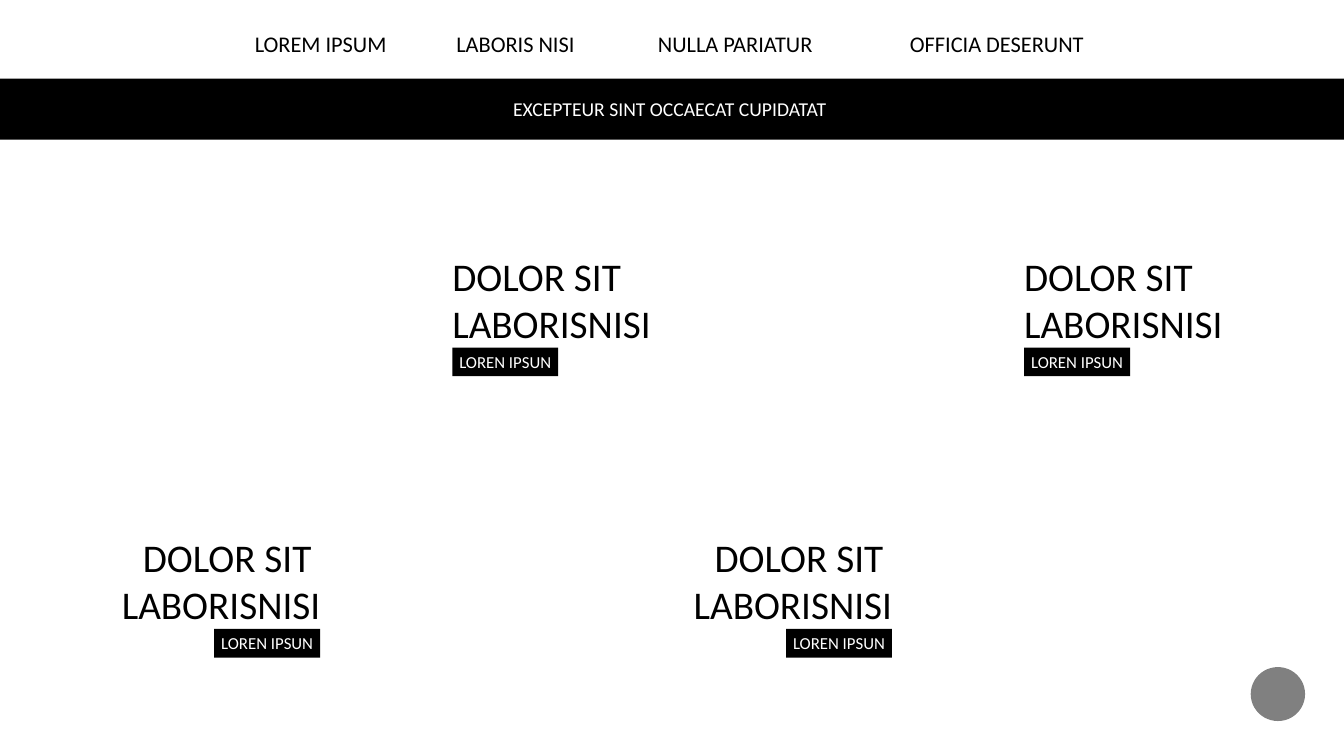
from dataclasses import dataclass

from pptx import Presentation, util as u
from pptx.dml.color import RGBColor
from pptx.enum import shapes, text


@dataclass(frozen=True)
class Theme:
    font: str = "Calibri"
    black: RGBColor = RGBColor(0, 0, 0)
    white: RGBColor = RGBColor(255, 255, 255)
    gray: RGBColor = RGBColor(128, 128, 128)
    name_size: int = 28
    menu_size: int = 16
    title_size: int = 14
    tag_size: int = 12


class SlideBuilder:
    def __init__(self, presentation, theme):
        self.theme = theme
        self.slide = presentation.slides.add_slide(presentation.slide_layouts[5])

    def set_text(self, shape, content, size, color, align, margins):
        """Fill a shape with text; margins are left, top, right, bottom in cm."""
        frame = shape.text_frame
        frame.text = content
        frame.vertical_anchor = text.MSO_ANCHOR.MIDDLE
        frame.margin_left, frame.margin_top, frame.margin_right, frame.margin_bottom = map(u.Cm, margins)
        for paragraph in frame.paragraphs:
            paragraph.alignment = align
            for run in paragraph.runs:
                run.font.name = self.theme.font
                run.font.size = u.Pt(size)
                run.font.color.rgb = color

    def title_band(self, content, left, top, width, height):
        title = self.slide.shapes.title
        title.left, title.top, title.width, title.height = map(u.Cm, (left, top, width, height))
        title.fill.solid()
        title.fill.fore_color.rgb = self.theme.black
        self.set_text(title, content, self.theme.title_size, self.theme.white,
                      text.PP_ALIGN.CENTER, (0.2, 0.2, 0.2, 0.2))
        title.text_frame.auto_size = text.MSO_AUTO_SIZE.NONE

    def text_box(self, content, left, top, width, height, size, align, margins, wrap=True):
        box = self.slide.shapes.add_textbox(*map(u.Cm, (left, top, width, height)))
        self.set_text(box, content, size, self.theme.black, align, margins)
        box.text_frame.word_wrap = wrap
        box.text_frame.auto_size = text.MSO_AUTO_SIZE.SHAPE_TO_FIT_TEXT

    def solid(self, kind, left, top, width, height, color):
        shape = self.slide.shapes.add_shape(kind, *map(u.Cm, (left, top, width, height)))
        shape.shadow.inherit = False
        shape.fill.solid()
        shape.fill.fore_color.rgb = color
        shape.line.fill.background()
        return shape

    def credit(self, content, left, top, width, align, right_margin):
        """Place a two-line name with a tag under its aligned edge."""
        tag_width = 2.67
        self.text_box(content, left, top, width, 2.39, self.theme.name_size, align,
                      (0, 0, right_margin, 0))
        tag_left = left if align == text.PP_ALIGN.LEFT else left + width - tag_width
        tag = self.solid(shapes.MSO_SHAPE.RECTANGLE, tag_left, top + 2.41, tag_width, 0.72,
                         self.theme.black)
        self.set_text(tag, "LOREN IPSUN", self.theme.tag_size, self.theme.white,
                      text.PP_ALIGN.CENTER, (0, 0, 0, 0))


def main():
    slide_width, slide_height = 33.87, 19.05
    presentation = Presentation()
    presentation.slide_width = u.Cm(slide_width)
    presentation.slide_height = u.Cm(slide_height)
    theme = Theme()
    builder = SlideBuilder(presentation, theme)

    builder.title_band("EXCEPTEUR SINT OCCAECAT CUPIDATAT ", 0, 1.98, slide_width, 1.54)
    menu = ["LOREM IPSUM", "LABORIS NISI", "NULLA PARIATUR", "OFFICIA DESERUNT "]
    builder.text_box("\t\t".join(menu), 3.05, 0.64, 27.76, 0.94, theme.menu_size,
                     text.PP_ALIGN.CENTER, (0.25, 0.13, 0.25, 0.13), wrap=False)

    pair_pitch = 14.41
    for pair, right_width in enumerate((6.3, 6.68)):
        offset = pair * pair_pitch
        builder.credit("DOLOR SIT\nLABORISNISI", 11.4 + offset, 6.35, 6.7,
                       text.PP_ALIGN.LEFT, 0.25)
        builder.credit("DOLOR SIT \nLABORISNISI", 8.07 + offset - right_width, 13.44, right_width,
                       text.PP_ALIGN.RIGHT, 0)

    builder.solid(shapes.MSO_SHAPE.OVAL, 31.52, 16.81, 1.37, 1.36, theme.gray)
    presentation.save("out.pptx")


if __name__ == "__main__":
    main()
